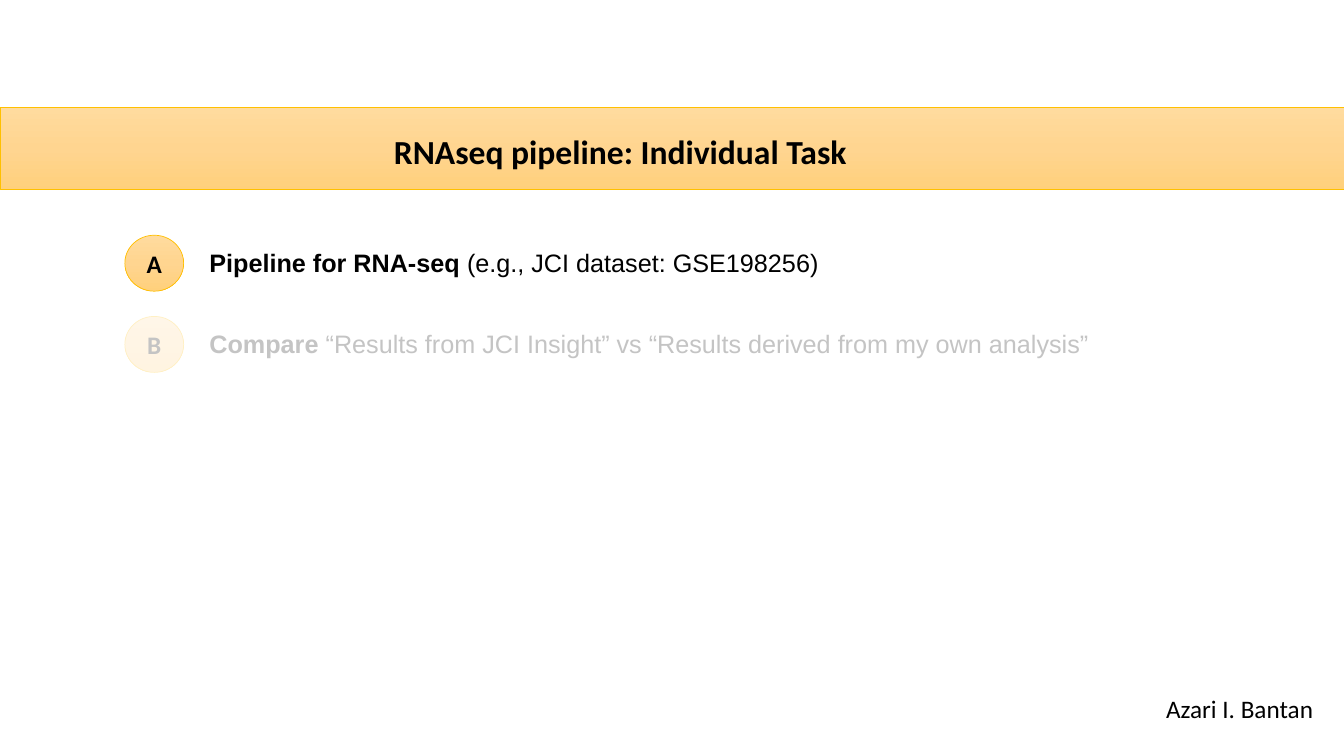
from copy import deepcopy
from dataclasses import dataclass

from lxml.etree import SubElement
from pptx import Presentation
from pptx.dml.color import RGBColor
from pptx.enum.shapes import MSO_SHAPE as Preset
from pptx.enum.text import MSO_ANCHOR as Anchor, MSO_AUTO_SIZE as AutoSize, PP_ALIGN as Align
from pptx.oxml.ns import qn
from pptx.shapes.autoshape import Shape
from pptx.slide import Slide
from pptx.util import Pt


@dataclass(frozen=True)
class Theme:
    text: RGBColor = RGBColor(0x00, 0x00, 0x00)
    veil: RGBColor = RGBColor(0xFF, 0xFF, 0xFF)
    outline: RGBColor = RGBColor(0xFF, 0xC0, 0x00)
    gradient: tuple[RGBColor, ...] = (
        RGBColor(0xFF, 0xDB, 0x9E),
        RGBColor(0xFF, 0xD5, 0x90),
        RGBColor(0xFF, 0xD0, 0x7C),
    )
    label_font: str = "Calibri"
    body_font: str = "Arial"
    title_size: int = 24
    body_size: int = 18


@dataclass(frozen=True)
class Box:
    left: float
    top: float
    width: float
    height: float

    def lengths(self) -> tuple[Pt, ...]:
        return Pt(self.left), Pt(self.top), Pt(self.width), Pt(self.height)


@dataclass(frozen=True)
class Run:
    text: str
    bold: bool = False


@dataclass(frozen=True)
class Task:
    letter: str
    runs: tuple[Run, ...]
    width: float


THEME = Theme()
BAND = Box(0, 77, 960, 58.5)
TITLE = Box(265.7, 90, 355, 36)
AUTHOR = Box(825.8, 491.8, 134, 29)
VEIL = Box(73.4, 223.2, 752.4, 57)
FIRST_ROW_TOP, ROW_PITCH = 168, 58
TASKS = (
    Task("A", (Run("Pipeline for RNA-seq ", True), Run("(e.g., JCI dataset: GSE198256)")), 625.7),
    Task("B", (Run("Compare ", True),
               Run("“Results from JCI Insight” vs “Results derived from my own analysis”")), 699),
)


def write(shape: Shape, runs: tuple[Run, ...], font_name: str, size: int,
          alignment: Align = Align.LEFT, anchor: Anchor = Anchor.TOP) -> None:
    frame = shape.text_frame
    frame_format = {"word_wrap": True, "auto_size": AutoSize.NONE, "vertical_anchor": anchor}
    for name, value in frame_format.items():
        setattr(frame, name, value)
    paragraph = frame.paragraphs[0]
    paragraph.alignment = alignment
    for item in runs:
        run = paragraph.add_run()
        run.text = item.text
        run.font.color.rgb = THEME.text
        for name, value in {"name": font_name, "size": Pt(size), "bold": item.bold}.items():
            setattr(run.font, name, value)


def add_text(slide: Slide, box: Box, runs: tuple[Run, ...], font_name: str) -> None:
    write(slide.shapes.add_textbox(*box.lengths()), runs, font_name, THEME.body_size)


def add_golden_shape(slide: Slide, preset: Preset, box: Box) -> Shape:
    """Add an outlined shape with the three-stop vertical gradient."""
    shape = slide.shapes.add_shape(preset, *box.lengths())
    shape.shadow.inherit = False
    shape.fill.gradient()
    shape.fill.gradient_angle = 270
    stop_list = shape.element.spPr.find(qn("a:gradFill")).find(qn("a:gsLst"))
    stop_list.insert(1, deepcopy(stop_list[0]))
    for index, (stop, color) in enumerate(zip(shape.fill.gradient_stops, THEME.gradient)):
        stop.position = index / 2
        stop.color.rgb = color
    shape.line.color.rgb = THEME.outline
    shape.line.width = Pt(0.5)
    return shape


def add_title(slide: Slide) -> None:
    title = slide.shapes.title
    for name, value in zip(("left", "top", "width", "height"), TITLE.lengths()):
        setattr(title, name, value)
    write(title, (Run("RNAseq pipeline: Individual Task", True),),
          THEME.label_font, THEME.title_size, Align.CENTER)
    band = add_golden_shape(slide, Preset.RECTANGLE, BAND)
    title.element.addprevious(band.element)


def add_task(slide: Slide, task: Task, top: float) -> None:
    badge = add_golden_shape(slide, Preset.OVAL, Box(89.2, top, 42, 40))
    write(badge, (Run(task.letter, True),), THEME.label_font, THEME.body_size,
          Align.CENTER, Anchor.MIDDLE)
    add_text(slide, Box(142.5, top + 5.3, task.width, 29), task.runs, THEME.body_font)


def add_veil(slide: Slide) -> None:
    """Fade the second task with a translucent white sheet."""
    veil = slide.shapes.add_shape(Preset.RECTANGLE, *VEIL.lengths())
    veil.shadow.inherit = False
    veil.line.fill.background()
    veil.fill.solid()
    veil.fill.fore_color.rgb = THEME.veil
    color = veil.element.spPr.find(qn("a:solidFill"))[0]
    SubElement(color, qn("a:alpha"), val="77000")


def main() -> None:
    presentation = Presentation()
    presentation.slide_width, presentation.slide_height = Pt(960), Pt(540)
    slide = presentation.slides.add_slide(presentation.slide_layouts.get_by_name("Title Only"))
    add_title(slide)
    add_text(slide, AUTHOR, (Run("Azari I. Bantan"),), THEME.label_font)
    for row, task in enumerate(TASKS):
        add_task(slide, task, FIRST_ROW_TOP + row * ROW_PITCH)
    add_veil(slide)
    presentation.save("out.pptx")


if __name__ == "__main__":
    main()
